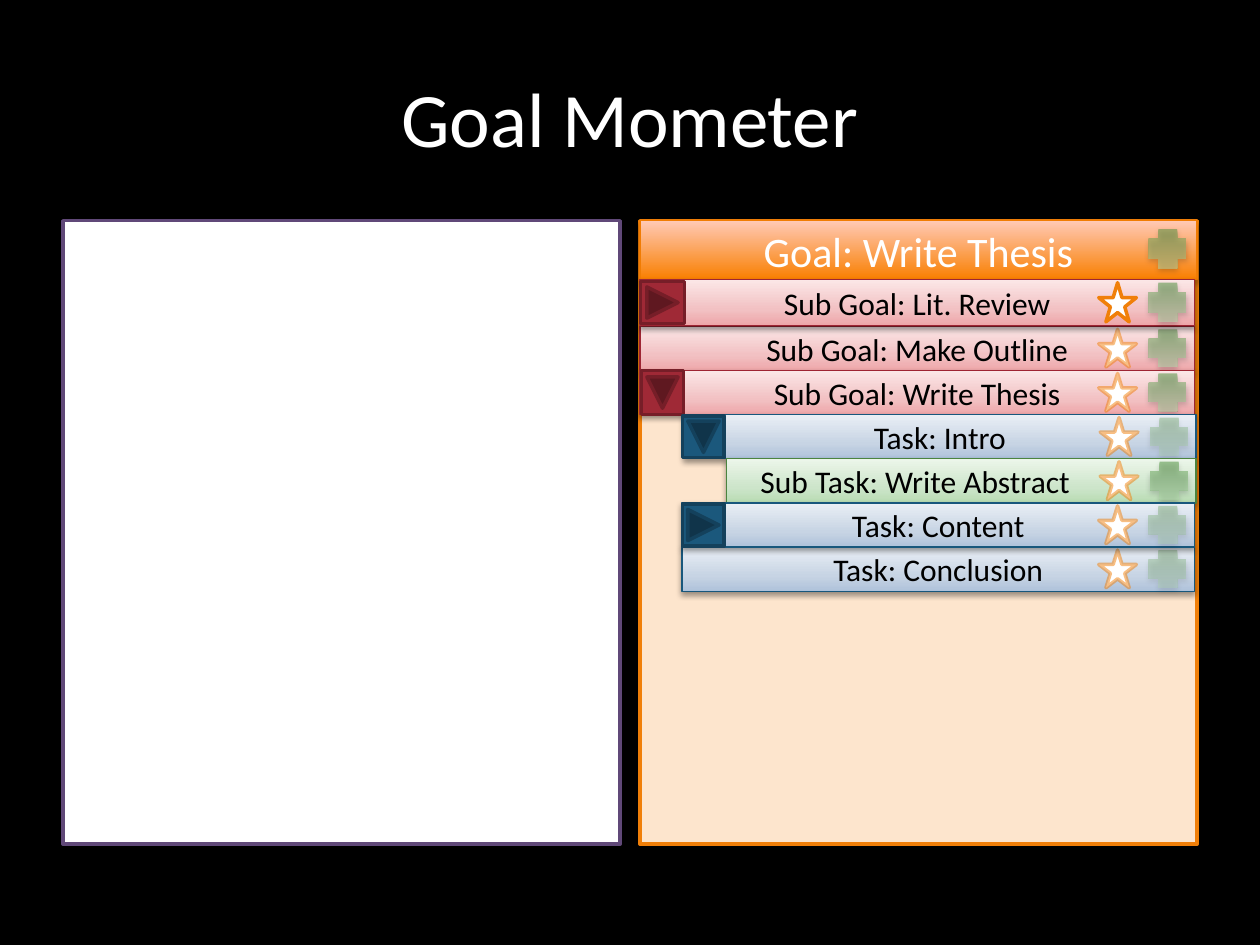
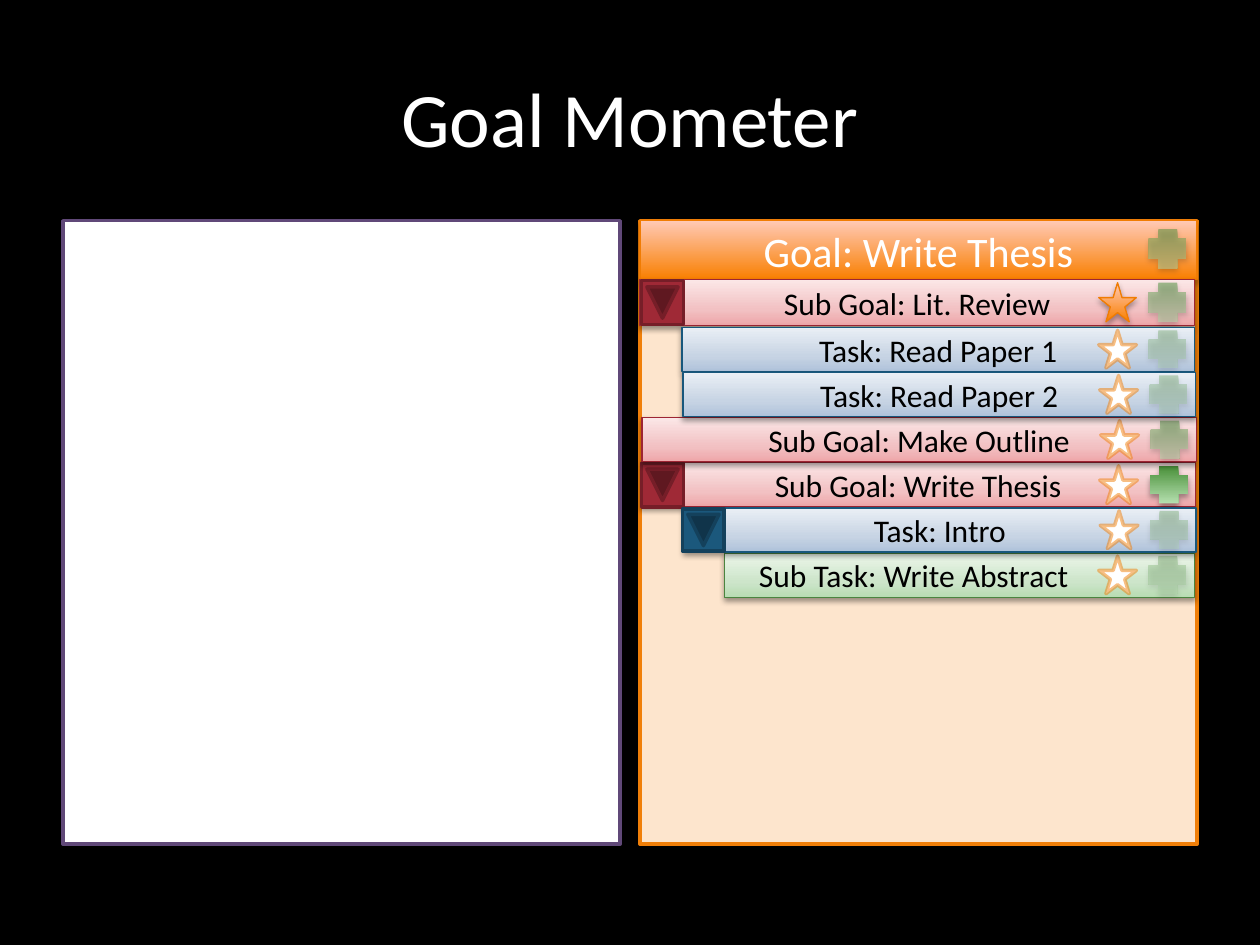
from dataclasses import dataclass
from enum import Enum

from pptx import Presentation
from pptx.dml.color import RGBColor
from pptx.enum.shapes import MSO_SHAPE as Preset
from pptx.enum.text import MSO_ANCHOR as Anchor, PP_ALIGN as Align
from pptx.oxml import parse_xml
from pptx.oxml.ns import nsdecls, qn
from pptx.util import Cm, Pt

BLACK = RGBColor(0x00, 0x00, 0x00)
WHITE = RGBColor(0xFF, 0xFF, 0xFF)
PURPLE = RGBColor(0x60, 0x48, 0x78)
PEACH = RGBColor(0xFD, 0xE5, 0xCD)
ORANGE = RGBColor(0xF0, 0x7F, 0x09)
ORANGE_EDGE = RGBColor(0xF0, 0x7C, 0x03)
RED = RGBColor(0x9F, 0x29, 0x36)
RED_EDGE = RGBColor(0x9E, 0x25, 0x33)
RED_DARK = RGBColor(0x76, 0x1E, 0x28)
BLUE = RGBColor(0x1B, 0x58, 0x7C)
BLUE_EDGE = RGBColor(0x18, 0x57, 0x7C)
BLUE_DARK = RGBColor(0x14, 0x41, 0x5C)
GREEN_EDGE = RGBColor(0x4B, 0x84, 0x3F)

Gradient = tuple[tuple[int, RGBColor], ...]
ORANGE_BLEND: Gradient = ((0, RGBColor(0xF9, 0x7F, 0x00)), (100, RGBColor(0xFF, 0xC9, 0xB5)))
PLUS_BLEND: Gradient = ((0, RGBColor(0x48, 0x8F, 0x38)), (100, RGBColor(0xB5, 0xDF, 0xAF)))
RED_BLEND: Gradient = (
    (0, RGBColor(0xEE, 0xA6, 0xA9)),
    (35, RGBColor(0xF2, 0xC1, 0xC3)),
    (100, RGBColor(0xFB, 0xE7, 0xE7)),
)
BLUE_BLEND: Gradient = (
    (0, RGBColor(0xAF, 0xC2, 0xDA)),
    (35, RGBColor(0xC7, 0xD4, 0xE4)),
    (100, RGBColor(0xEA, 0xEF, 0xF5)),
)
GREEN_BLEND: Gradient = (
    (0, RGBColor(0xB8, 0xDC, 0xB3)),
    (35, RGBColor(0xCD, 0xE5, 0xCA)),
    (100, RGBColor(0xEC, 0xF6, 0xEA)),
)

FONT = "Calibri"
PANEL_TOP, PANEL_WIDTH, PANEL_HEIGHT = 4.45, 11.23, 12.57
NOTES_LEFT, GOAL_LEFT = 1.27, 12.9
HEADER_HEIGHT = 1.19
FIRST_TOP, FIRST_HEIGHT, ROW_HEIGHT = 5.64, 0.92, 0.89
ROW_RIGHT = 24.08
STAR_LEFT, PLUS_LEFT, ICON_SIZE = 22.15, 23.16, 0.76
BUTTON_HEIGHT = 0.84


@dataclass(frozen=True)
class Level:
    left: float
    blend: Gradient
    edge: RGBColor
    button_width: float = 0
    button_fill: RGBColor | None = None
    button_edge: RGBColor | None = None
    text_indent: float | None = None


SUB_GOAL = Level(12.9, RED_BLEND, RED_EDGE, 0.89, RED, RED_DARK)
TASK = Level(13.75, BLUE_BLEND, BLUE_EDGE, 0.84, BLUE, BLUE_DARK)
SUB_TASK = Level(14.61, GREEN_BLEND, GREEN_EDGE, text_indent=0.69)


class Star(Enum):
    FADED = 50
    CLEAR = 100
    EARNED = 0


class Button(Enum):
    NONE = None
    CLOSED = 0
    OPEN = 90


@dataclass(frozen=True)
class Row:
    slot: int
    level: Level
    text: str
    button: Button = Button.NONE
    plus_opacity: int = 50
    star: Star = Star.FADED
    shift: float = 0


@dataclass(frozen=True)
class Board:
    second_top: float
    pitch: float
    rows: tuple[Row, ...]


BOARDS = (
    Board(6.58, 0.89, (
        Row(1, SUB_GOAL, "Sub Goal: Make Outline"),
        Row(0, SUB_GOAL, "Sub Goal: Lit. Review", Button.CLOSED, star=Star.CLEAR),
        Row(2, SUB_GOAL, "Sub Goal: Write Thesis", Button.OPEN),
        Row(6, TASK, "Task: Conclusion", plus_opacity=30),
        Row(3, TASK, "Task: Intro", Button.OPEN, 30, shift=0.03),
        Row(4, SUB_TASK, "Sub Task: Write Abstract", shift=0.03),
        Row(5, TASK, "Task: Content", Button.CLOSED, 30),
    )),
    Board(6.6, 0.91, (
        Row(4, SUB_GOAL, "Sub Goal: Write Thesis", Button.OPEN, 100, shift=0.02),
        Row(6, SUB_TASK, "Sub Task: Write Abstract", plus_opacity=30),
        Row(5, TASK, "Task: Intro", Button.OPEN, 30, shift=0.03),
        Row(3, SUB_GOAL, "Sub Goal: Make Outline", shift=0.04),
        Row(0, SUB_GOAL, "Sub Goal: Lit. Review", Button.OPEN, star=Star.EARNED),
        Row(1, TASK, "Task: Read Paper 1", plus_opacity=30),
        Row(2, TASK, "Task: Read Paper 2", plus_opacity=30, shift=0.02),
    )),
)


def apply_format(target, values: dict) -> None:
    for name, value in values.items():
        setattr(target, name, value)


def add_figure(shapes, preset, left: float, top: float, width: float, height: float,
               fill: RGBColor | Gradient, edge: RGBColor | None = None,
               edge_width: float = 2, opacity: int = 100):
    figure = shapes.add_shape(preset, Cm(left), Cm(top), Cm(width), Cm(height))
    figure.shadow.inherit = False
    if isinstance(fill, RGBColor):
        figure.fill.solid()
        figure.fill.fore_color.rgb = fill
    else:
        blend_fill(figure, fill, opacity)
    if edge is None:
        figure.line.fill.background()
    else:
        figure.line.color.rgb = edge
        figure.line.width = Pt(edge_width)
    return figure


def blend_fill(figure, blend: Gradient, opacity: int) -> None:
    stops = "".join(
        f'<a:gs pos="{position * 1000}"><a:srgbClr val="{color}">'
        f'<a:alpha val="{opacity * 1000}"/></a:srgbClr></a:gs>'
        for position, color in blend
    )
    figure.fill.background()
    properties = figure._element.spPr
    properties.replace(properties.find(qn("a:noFill")), parse_xml(
        f'<a:gradFill {nsdecls("a")} rotWithShape="1"><a:gsLst>{stops}</a:gsLst>'
        '<a:lin ang="16200000" scaled="0"/></a:gradFill>'
    ))


def cast_shadow(figure, opacity: int = 35, distance: int = 23000) -> None:
    figure._element.spPr.find(qn("a:effectLst")).append(parse_xml(
        f'<a:outerShdw {nsdecls("a")} blurRad="40000" dist="{distance}" dir="5400000" '
        f'rotWithShape="0"><a:srgbClr val="{BLACK}"><a:alpha val="{opacity * 1000}"/>'
        '</a:srgbClr></a:outerShdw>'
    ))


def write_text(box, text: str, size: float, color: RGBColor, indent: float | None = None) -> None:
    frame = box.text_frame
    apply_format(frame, {"word_wrap": True, "vertical_anchor": Anchor.MIDDLE})
    para = frame.paragraphs[0]
    para.alignment = Align.CENTER
    if indent is not None:
        para.alignment = Align.LEFT
        frame.margin_left = Cm(indent)
    span = para.add_run()
    span.text = text
    apply_format(span.font, {"name": FONT, "size": Pt(size)})
    span.font.color.rgb = color


def add_plus(shapes, left: float, top: float, height: float, opacity: int) -> None:
    plus = add_figure(shapes, Preset.CROSS, left, top, ICON_SIZE, height,
                      PLUS_BLEND, opacity=opacity)
    plus._element.spPr.find(qn("a:xfrm")).set("flipV", "1")
    cast_shadow(plus)


def add_star(shapes, left: float, top: float, height: float, state: Star) -> None:
    place = (shapes, Preset.STAR_5_POINT, left, top, ICON_SIZE, height)
    if state is Star.EARNED:
        cast_shadow(add_figure(*place, ORANGE_BLEND, ORANGE_EDGE, 0.75))
        return
    star = add_figure(*place, WHITE, ORANGE)
    if state is Star.FADED:
        color = star.line._ln.find(".//" + qn("a:srgbClr"))
        color.append(parse_xml(f'<a:alpha {nsdecls("a")} val="{state.value * 1000}"/>'))


def add_row(page, board: Board, row: Row) -> None:
    level, shapes = row.level, page.shapes.add_group_shape().shapes
    first = row.slot == 0
    top = FIRST_TOP if first else board.second_top + (row.slot - 1) * board.pitch
    height = FIRST_HEIGHT if first else ROW_HEIGHT
    bar = add_figure(shapes, Preset.RECTANGLE, level.left + row.shift, top,
                     ROW_RIGHT - level.left, height, level.blend, level.edge, 0.75)
    cast_shadow(bar, 38, 20000)
    write_text(bar, row.text, 18, BLACK, level.text_indent)
    icon_top, icon_height = top + 0.06, height - 0.13
    add_plus(shapes, PLUS_LEFT + row.shift, icon_top, icon_height, row.plus_opacity)
    add_star(shapes, STAR_LEFT + row.shift, icon_top, icon_height, row.star)
    if row.button is not Button.NONE:
        button = add_figure(shapes, Preset.ACTION_BUTTON_FORWARD_OR_NEXT, level.left + 0.01,
                            top + (height - BUTTON_HEIGHT) / 2, level.button_width,
                            BUTTON_HEIGHT, level.button_fill, level.button_edge)
        button.rotation = row.button.value


def add_board(deck, board: Board) -> None:
    page = deck.slides.add_slide(deck.slide_layouts[6])
    page.background.fill.solid()
    page.background.fill.fore_color.rgb = BLACK
    add_figure(page.shapes, Preset.RECTANGLE, NOTES_LEFT, PANEL_TOP, PANEL_WIDTH,
               PANEL_HEIGHT, WHITE, PURPLE)
    title = page.shapes.add_textbox(Cm(1.27), Cm(0.76), Cm(22.86), Cm(3.18))
    write_text(title, "Goal Mometer", 44, WHITE)
    goal = page.shapes.add_group_shape().shapes
    add_figure(goal, Preset.RECTANGLE, GOAL_LEFT, PANEL_TOP, PANEL_WIDTH,
               PANEL_HEIGHT, PEACH, ORANGE)
    header = add_figure(goal, Preset.RECTANGLE, GOAL_LEFT, PANEL_TOP, PANEL_WIDTH,
                        HEADER_HEIGHT, ORANGE_BLEND, ORANGE_EDGE, 0.75)
    cast_shadow(header)
    write_text(header, "Goal: Write Thesis", 24, WHITE)
    add_plus(page.shapes, PLUS_LEFT, 4.62, 0.79, 50)
    for row in board.rows:
        add_row(page, board, row)


def main() -> None:
    deck = Presentation()
    apply_format(deck, {"slide_width": Cm(25.4), "slide_height": Cm(19.05)})
    for board in BOARDS:
        add_board(deck, board)
    deck.save("out.pptx")


if __name__ == "__main__":
    main()
